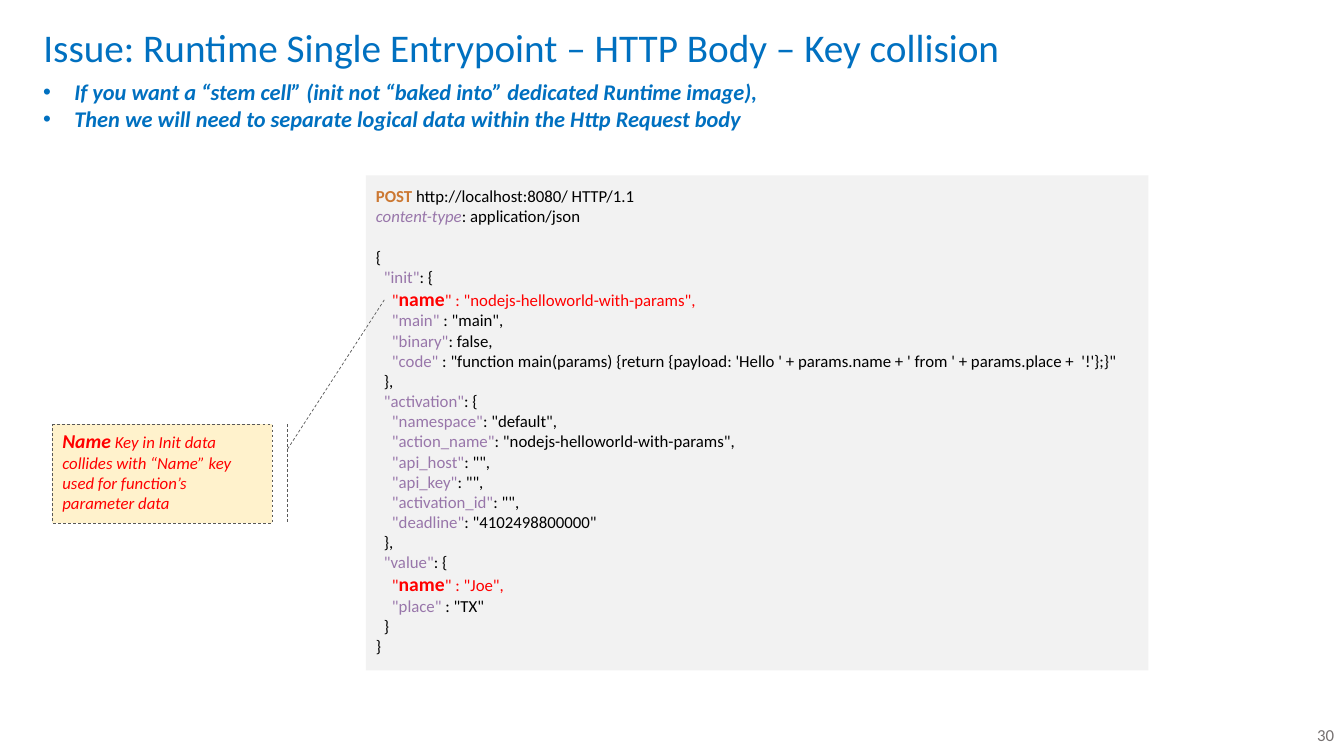
from typing import NamedTuple

from lxml import etree
from pptx import Presentation
from pptx import util as u
from pptx.dml import color
from pptx.enum import dml, shapes, text
from pptx.oxml import ns

COLORS = {"blue": "0070C0", "panel": "F2F2F2", "method": "CC7832",
          "key": "9876AA", "plain": "000000", "alert": "FF0000",
          "note": "FFF2CC", "edge": "595959", "number": "767171"}
STYLES = {
    "title": dict(size=28, color="blue"),
    "bullet": dict(size=16, color="blue", bold=True, italic=True),
    "plain": dict(size=12, color="plain"),
    "method": dict(size=12, color="method", bold=True),
    "header": dict(size=12, color="key", italic=True),
    "key": dict(size=12, color="key"),
    "alert": dict(size=12, color="alert"),
    "clash": dict(size=14, color="alert", bold=True),
    "note": dict(size=12, color="alert", italic=True),
    "note_name": dict(size=14, color="alert", bold=True, italic=True),
    "number": dict(size=12, color="number"),
}
INDENT = 0.08
BULLET_INDENT = 0.31


class Span(NamedTuple):
    """A stretch of text in one named style."""
    text: str
    style: str = "plain"


class Line(NamedTuple):
    """One line of the request, at a nesting level."""
    level: int
    spans: list[Span]
    gap: float = 0


def plain(level: int, words: str, gap: float = 0) -> Line:
    """Make a line of plain code."""
    return Line(level, [Span(words)], gap)


def entry(level: int, key: str, rest: str) -> Line:
    """Make a line with a coloured JSON key."""
    return Line(level, [Span(f'"{key}"', "key"), Span(rest)])


def clash(value: str) -> Line:
    """Make a line with the colliding name key."""
    return Line(2, [Span('"', "alert"), Span("name", "clash"),
                    Span(f'" : "{value}",', "alert")])


REQUEST = [
    Line(0, [Span("POST ", "method"), Span("http://localhost:8080/ HTTP/1.1")]),
    Line(0, [Span("content-type", "header"), Span(": application/json")]),
    plain(0, "{", gap=14.6),
    entry(1, "init", ": {"),
    clash("nodejs-helloworld-with-params"),
    entry(2, "main", ' : "main",'),
    entry(2, "binary", ": false,"),
    entry(2, "code", " : \"function main(params) {return {payload: 'Hello ' + "
          "params.name + ' from ' + params.place +  '!'};}\""),
    plain(1, "},"),
    entry(1, "activation", ": {"),
    entry(2, "namespace", ': "default",'),
    entry(2, "action_name", ': "nodejs-helloworld-with-params",'),
    entry(2, "api_host", ': "",'),
    entry(2, "api_key", ': "",'),
    entry(2, "activation_id", ': "",'),
    entry(2, "deadline", ': "4102498800000"'),
    plain(1, "},"),
    entry(1, "value", ": {"),
    clash("Joe"),
    entry(2, "place", ' : "TX"'),
    plain(1, "}"),
    plain(0, "}"),
]
BULLETS = [
    "If you want a “stem cell” (init not “baked into” dedicated Runtime image),",
    "Then we will need to separate logical data within the Http Request body",
]


def rgb(name: str) -> color.RGBColor:
    """Look up a palette colour."""
    return color.RGBColor.from_string(COLORS[name])


def box(*lengths: float) -> list[u.Length]:
    """Turn left, top, width and height into lengths."""
    return [u.Inches(n) for n in lengths]


def write(p, spans: list[Span], align=text.PP_ALIGN.LEFT) -> None:
    """Add styled runs to a paragraph."""
    p.alignment = align
    for span in spans:
        r = p.add_run()
        r.text = span.text
        style = STYLES[span.style]
        formats = dict(name="Calibri", size=u.Pt(style["size"]),
                       bold=style.get("bold", False),
                       italic=style.get("italic", False))
        for attr, value in formats.items():
            setattr(r.font, attr, value)
        r.font.color.rgb = rgb(style["color"])


def next_paragraph(tf, index: int):
    """Return the first paragraph, or a new one after it."""
    return tf.add_paragraph() if index else tf.paragraphs[0]


def set_indent(p, left: float, first: float = 0):
    """Set paragraph indents and return its properties."""
    ppr = p._p.get_or_add_pPr()
    ppr.set("marL", str(u.Inches(left)))
    ppr.set("indent", str(u.Inches(first)))
    return ppr


def format_frame(tf, **formats) -> None:
    """Wrap a text frame at the top, with any changes given."""
    defaults = dict(word_wrap=True, vertical_anchor=text.MSO_ANCHOR.TOP,
                    auto_size=text.MSO_AUTO_SIZE.NONE)
    for attr, value in (defaults | formats).items():
        setattr(tf, attr, value)


def add_panel(s, kind, place: list[u.Length], fill: str):
    """Add a flat filled shape without an outline."""
    sp = s.shapes.add_shape(kind, *place)
    sp.shadow.inherit = False
    sp.fill.solid()
    sp.fill.fore_color.rgb = rgb(fill)
    sp.line.fill.background()
    return sp


def add_title(s) -> None:
    """Place and fill the title."""
    sp = s.shapes.title
    sp.left, sp.top, sp.width, sp.height = box(0.33, 0.26, 12.8, 0.47)
    format_frame(sp.text_frame, vertical_anchor=text.MSO_ANCHOR.MIDDLE)
    p = sp.text_frame.paragraphs[0]
    p.line_spacing = 0.9
    write(p, [Span("Issue: Runtime Single Entrypoint – HTTP Body – Key collision",
                   "title")])


def add_bullets(s) -> None:
    """Add the two bulleted statements."""
    tf = s.shapes.add_textbox(*box(0.33, 0.73, 8.7, 0.72)).text_frame
    format_frame(tf)
    for i, words in enumerate(BULLETS):
        p = next_paragraph(tf, i)
        write(p, [Span(words, "bullet")])
        ppr = set_indent(p, BULLET_INDENT, -BULLET_INDENT)
        etree.SubElement(ppr, ns.qn("a:buFont"), typeface="Arial")
        etree.SubElement(ppr, ns.qn("a:buChar"), char="•")


def add_request(s) -> None:
    """Add the HTTP request panel."""
    sp = add_panel(s, shapes.MSO_SHAPE.RECTANGLE, box(3.63, 1.74, 7.76, 4.91), "panel")
    inset = u.Inches(0.1)
    tf = sp.text_frame
    format_frame(tf, margin_top=inset, margin_bottom=inset)
    for i, line in enumerate(REQUEST):
        p = next_paragraph(tf, i)
        write(p, line.spans)
        p.space_before = u.Pt(line.gap)
        set_indent(p, line.level * INDENT)


def add_callout(s) -> None:
    """Add the note that points at the colliding key."""
    sp = add_panel(s, shapes.MSO_SHAPE.LINE_CALLOUT_1_BORDER_AND_ACCENT_BAR,
                   box(0.52, 4.21, 2.18, 0.98), "note")
    for i, value in enumerate([0.25, 1.07, -1.26, 1.51]):
        sp.adjustments[i] = value
    sp.line.color.rgb = rgb("edge")
    sp.line.width = u.Pt(0.5)
    sp.line.dash_style = dml.MSO_LINE.DASH
    format_frame(sp.text_frame)
    write(sp.text_frame.paragraphs[0], [
        Span("Name", "note_name"),
        Span(" Key in Init data collides with “Name” key used for function’s "
             "parameter data", "note")])


def add_number(s) -> None:
    """Add the page number at the lower right."""
    tf = s.shapes.add_textbox(*box(10.33, 7.09, 3, 0.4)).text_frame
    format_frame(tf, vertical_anchor=text.MSO_ANCHOR.MIDDLE)
    write(tf.paragraphs[0], [Span("30", "number")], text.PP_ALIGN.RIGHT)


prs = Presentation()
prs.slide_width, prs.slide_height = u.Inches(13.33), u.Inches(7.5)
s = prs.slides.add_slide(prs.slide_layouts[5])
for add_part in (add_title, add_request, add_bullets, add_callout, add_number):
    add_part(s)
prs.save("out.pptx")
